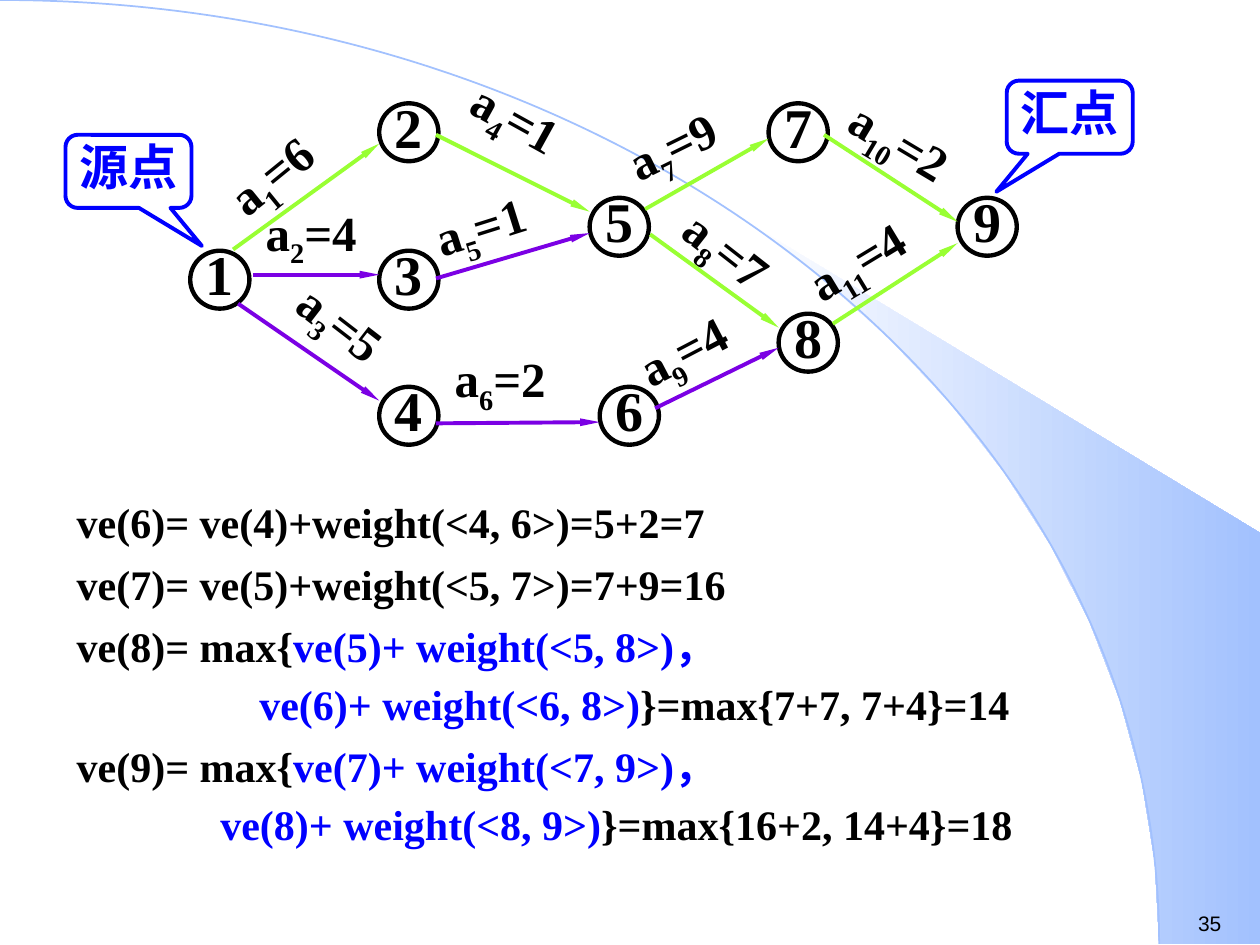
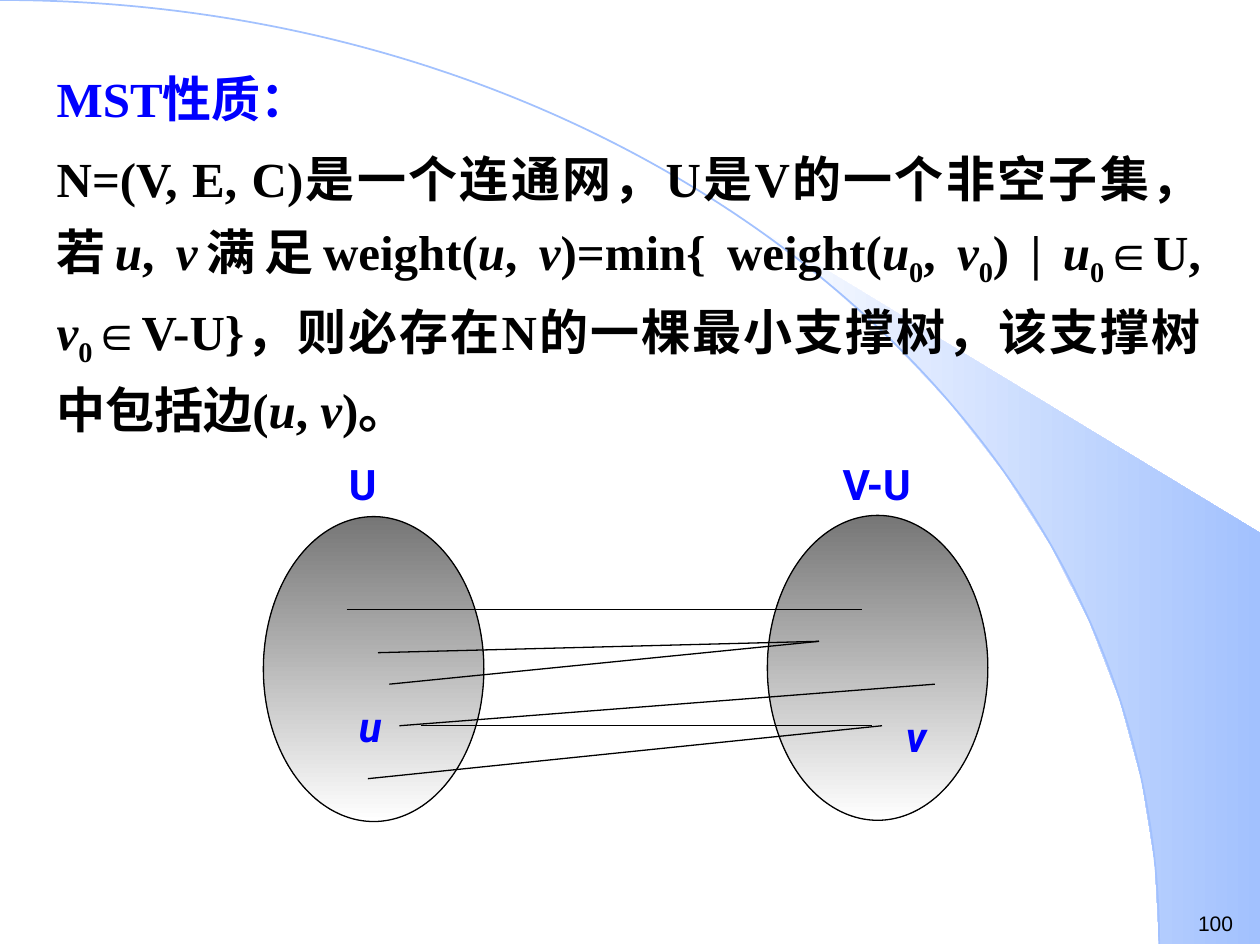
from math import cos, radians, sin

from lxml.etree import SubElement
from pptx import Presentation
from pptx.dml.color import RGBColor
from pptx.enum.shapes import MSO_CONNECTOR as Link, MSO_SHAPE as Preset
from pptx.enum.text import MSO_ANCHOR as Anchor, MSO_AUTO_SIZE as AutoSize, PP_ALIGN as Align
from pptx.oxml.ns import qn
from pptx.util import Inches, Pt

BLACK, BLUE, PALE_BLUE, WHITE = "000000", "0000FF", "A2C1FE", "FFFFFF"
GREEN, PURPLE, GREY = "99FF33", "7B00E4", "767676"
SERIF, SANS, NUMBER_FONT = "Times New Roman", "Roboto", "Arial"

color = RGBColor.from_string
prs = Presentation()
prs.slide_width, prs.slide_height = Inches(10), Inches(7.5)
COLUMN = prs.slide_width / 10
graph_slide = prs.slides.add_slide(prs.slide_layouts[6])
mst_slide = prs.slides.add_slide(prs.slide_layouts[1])


def grid(*cells):
    return [round(cell * COLUMN) for cell in cells]


def write(shape, *lines, font=SERIF, size=28, ink=BLACK, bold=True, italic=False,
          align=Align.LEFT, spacing=1.0, before=0, indents=None, lift=None):
    frame = shape.text_frame
    frame.word_wrap = lift is None
    frame.auto_size = AutoSize.NONE
    frame.vertical_anchor = Anchor.TOP
    if lift is not None:
        frame.vertical_anchor = Anchor.MIDDLE
        frame.margin_left = frame.margin_right = frame.margin_top = 0
        frame.margin_bottom = Inches(lift)
    for index, line in enumerate(lines):
        paragraph = frame.add_paragraph() if index else frame.paragraphs[0]
        indent = indents[index] if indents else 0
        properties = paragraph._p.get_or_add_pPr()
        properties.set("marL", str(*grid(indent)))
        properties.set("indent", "0")
        properties.set("hangingPunct", "0")
        SubElement(properties, qn("a:buNone"))
        paragraph.alignment = align
        paragraph.line_spacing = spacing
        paragraph.space_before = Pt(before if index and not indent else 0)
        for part in [line] if isinstance(line, str) else line:
            text, changes = (part, {}) if isinstance(part, str) else part
            run = paragraph.add_run()
            run.text = text
            run.font.name = font
            run.font.size = Pt(size)
            run.font.bold = bold
            run.font.italic = changes.get("italic", italic)
            run.font.color.rgb = color(changes.get("ink", ink))
            if "baseline" in changes:
                run._r.get_or_add_rPr().set("baseline", str(changes["baseline"]))


SUBSCRIPT, ITALIC, IN_BLUE = {"baseline": -25000}, {"italic": True}, {"ink": BLUE}

band_outline = [grid(9.2 * sin(radians(angle)), 7.49 * (1 - cos(radians(angle))))
                for angle in range(40, 91, 5)]
band_outline += [grid(10, 7.49), grid(10, 4.23)]
curve_ends = [grid(0, 0), grid(9.2, 7.49)]
backdrop = []
for outline, closed in ((band_outline, True), (curve_ends, False)):
    builder = graph_slide.shapes.build_freeform(*outline[0], scale=1.0)
    builder.add_line_segments(outline[1:], close=closed)
    backdrop.append(builder.convert_to_shape())
band, curve = backdrop
band.line.fill.background()
curve.fill.background()
curve.line.color.rgb = color(PALE_BLUE)
curve.line.width = Pt(1)
sweep = next(curve.element.iter(qn("a:lnTo")))
sweep.tag = qn("a:cubicBezTo")
for position, (x, y) in enumerate((grid(5.08, 0), grid(9.2, 3.35))):
    handle = SubElement(sweep, qn("a:pt"), x=str(x), y=str(y))
    sweep.insert(position, handle)
for number, part in enumerate(backdrop, 101):
    part.shadow.inherit = False
    part.element.nvSpPr.cNvPr.set("id", str(number))
    prs.slide_master.shapes.element.append(part.element)
gradients = [(band, WHITE, PALE_BLUE, 0)]

for slide, page in ((graph_slide, "35"), (mst_slide, "100")):
    page_number = slide.shapes.add_textbox(*grid(9.41, 7.18, 0.59, 0.3))
    write(page_number, page, font=NUMBER_FONT, size=12, bold=False)

formulas = graph_slide.shapes.add_textbox(*grid(0.51, 3.83, 8.58, 2.98))
write(formulas,
      "ve(6)= ve(4)+weight(<4, 6>)=5+2=7",
      "ve(7)= ve(5)+weight(<5, 7>)=7+9=16",
      ["ve(8)= max{", ("ve(5)+ weight(<5, 8>)，", IN_BLUE)],
      [("ve(6)+ weight(<6, 8>)", IN_BLUE), "}=max{7+7, 7+4}=14"],
      ["ve(9)= max{", ("ve(7)+ weight(<7, 9>)，", IN_BLUE)],
      [("ve(8)+ weight(<8, 9>)", IN_BLUE), "}=max{16+2, 14+4}=18"],
      size=24, spacing=1.15, before=2.4, indents=(0, 0, 0, 1.45, 0, 1.14))

events = [(1.51, 1.99), (3.01, 0.82), (3.01, 1.99), (3.01, 3.07), (4.68, 1.57),
          (4.76, 3.07), (6.1, 0.82), (6.18, 2.49), (7.6, 1.57)]
for event, (left, top) in enumerate(events, 1):
    node = graph_slide.shapes.add_shape(Preset.OVAL, *grid(left, top, 0.47, 0.46))
    node.shadow.inherit = False
    node.fill.background()
    node.line.color.rgb = color(BLACK)
    node.line.width = Pt(2.5)
    write(node, str(event), size=32, align=Align.CENTER, lift=0.1)

activities = [
    (6, GREEN, (1.85, 1.98, 3.01, 1.14), (1.66, 1.02), -39.1),
    (4, PURPLE, (2.01, 2.18, 3.01, 2.18), (2.01, 1.56), 0),
    (5, PURPLE, (1.89, 2.41, 3.01, 3.18), (2.2, 2.43), 37.7),
    (1, GREEN, (3.46, 1.07, 4.68, 1.68), (3.61, 0.77), 28.9),
    (1, PURPLE, (3.46, 2.21, 4.68, 1.85), (3.34, 1.43), -17.6),
    (2, PURPLE, (3.46, 3.36, 4.76, 3.35), (3.51, 2.72), 0),
    (9, GREEN, (5.12, 1.66, 6.1, 1.1), (4.85, 0.76), -26.2),
    (7, GREEN, (5.16, 1.86, 6.18, 2.6), (5.26, 1.85), 38),
    (4, PURPLE, (5.2, 3.24, 6.18, 2.76), (4.93, 2.38), -27.6),
    (2, GREEN, (6.54, 1.07, 7.6, 1.76), (6.6, 0.93), 30.9),
    (4, GREEN, (6.61, 2.57, 7.6, 1.93), (6.26, 1.68), -31.2),
]
links = []
for activity, (weight, ink, ends, corner, angle) in enumerate(activities, 1):
    width = 1.17 if activity == 1 else 1.42
    label = graph_slide.shapes.add_textbox(*grid(*corner, width, 0.57))
    label.rotation = angle
    write(label, ["a", (str(activity), SUBSCRIPT), f"={weight}"])
    links.append((graph_slide, ends, ink, 2.25, True))

for text, left, top, tip in (("汇点", 7.99, 0.64, -0.583), ("源点", 0.52, 1.07, 0.583)):
    callout = graph_slide.shapes.add_shape(Preset.ROUNDED_RECTANGULAR_CALLOUT,
                                           *grid(left, top, 1, 0.58))
    callout.adjustments[0], callout.adjustments[1] = tip, 1.021
    callout.shadow.inherit = False
    callout.fill.background()
    callout.line.color.rgb = color(BLUE)
    callout.line.width = Pt(2.25)
    write(callout, text, ink=BLUE, align=Align.CENTER, lift=0.08)

title = mst_slide.shapes.title
title.element.getparent().remove(title.element)
theorem = mst_slide.placeholders[1]
theorem.left, theorem.top, theorem.width, theorem.height = grid(0.35, 0.4, 9.28, 3.03)
u, v, zero = ("u", ITALIC), ("v", ITALIC), ("0", SUBSCRIPT)
write(theorem,
      [("MST性质：", IN_BLUE)],
      ["N=(V, E, C)是一个连通网，U是V的一个非空子集，若", u, ", ", v, "满足weight(",
       u, ", ", v, ")=min{ weight(", u, zero, ", ", v, zero, ") | ", u, zero, "∈U, ",
       v, zero, "∈V-U}，则必存在N的一棵最小支撑树，该支撑树中包括边(", u, ", ", v, ")。"],
      align=Align.JUSTIFY, spacing=1.2, before=5.6)

for left, top in ((2.09, 4.1), (6.09, 4.09)):
    vertex_set = mst_slide.shapes.add_shape(Preset.OVAL, *grid(left, top, 1.75, 2.42))
    vertex_set.shadow.inherit = False
    vertex_set.line.color.rgb = color(BLACK)
    vertex_set.line.width = Pt(0.75)
    gradients.append((vertex_set, GREY, WHITE, 270))

for shape, first, last, angle in gradients:
    shape.fill.gradient()
    shape.fill.gradient_angle = angle
    for stop, ink in zip(shape.fill.gradient_stops, (first, last)):
        stop.color.rgb = color(ink)

for ends in ((2.75, 4.84, 6.84, 4.84), (3.34, 5.76, 6.92, 5.76), (3.09, 5.43, 6.5, 5.09),
             (2.92, 6.18, 7, 5.76), (3, 5.18, 6.5, 5.09), (3.17, 5.76, 7.42, 5.43)):
    links.append((mst_slide, ends, BLACK, 0.75, False))

for slide, ends, ink, weight, directed in links:
    link = slide.shapes.add_connector(Link.STRAIGHT, *grid(*ends))
    link.line.color.rgb = color(ink)
    link.line.width = Pt(weight)
    if directed:
        SubElement(link.line._get_or_add_ln(), qn("a:tailEnd"), type="triangle",
                   w="sm", len="lg")
    SubElement(link.element.spPr, qn("a:effectLst"))

for text, left, top, width, slanted in (("U", 2.67, 3.59, 0.75, False),
                                        ("V-U", 6.59, 3.59, 1.17, False),
                                        ("u", 2.75, 5.51, 0.5, True),
                                        ("v", 7.09, 5.59, 0.42, True)):
    caption = mst_slide.shapes.add_textbox(*grid(left, top, width, 0.5))
    write(caption, text, font=SANS, size=24, ink=BLUE, italic=slanted)

prs.save("out.pptx")
